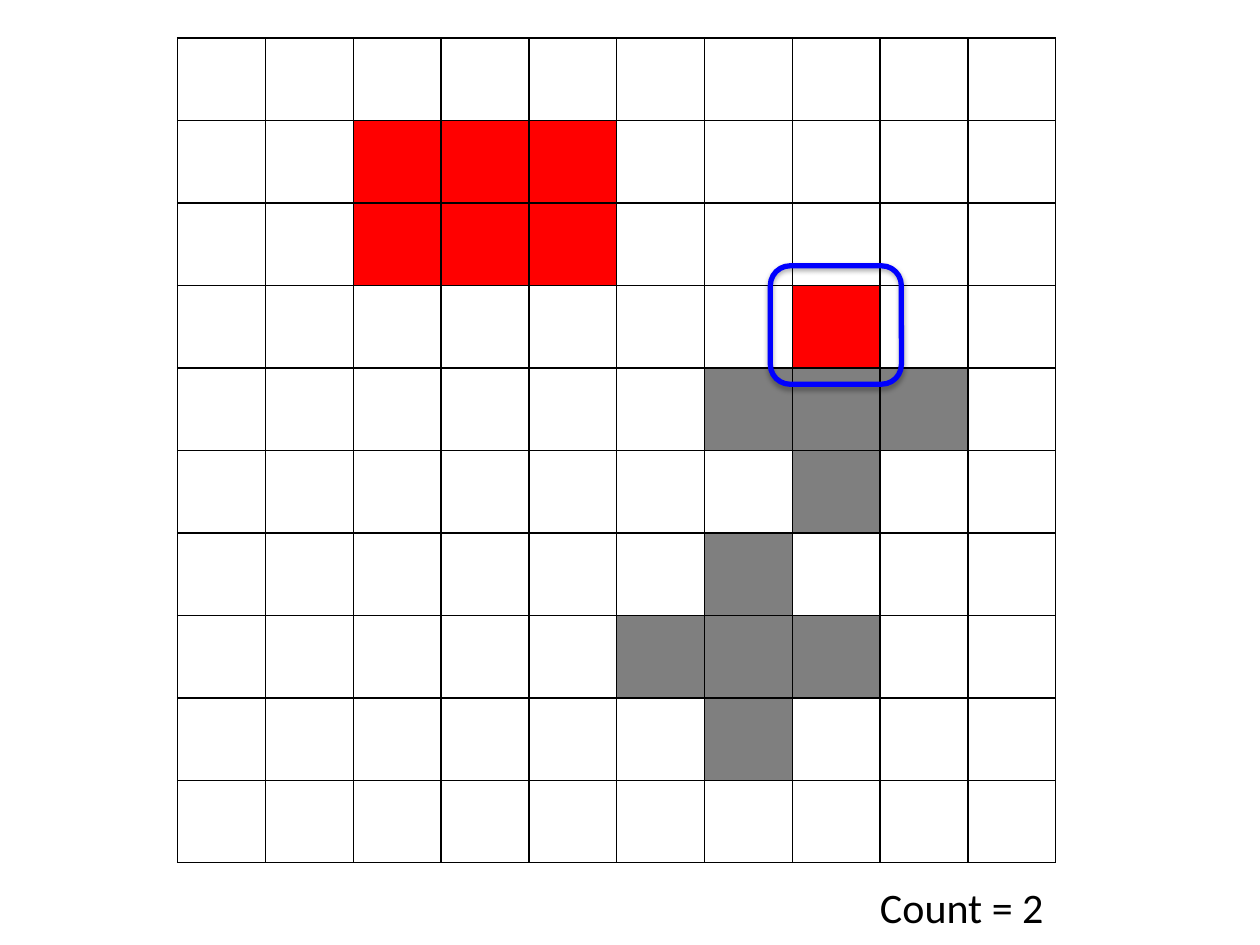
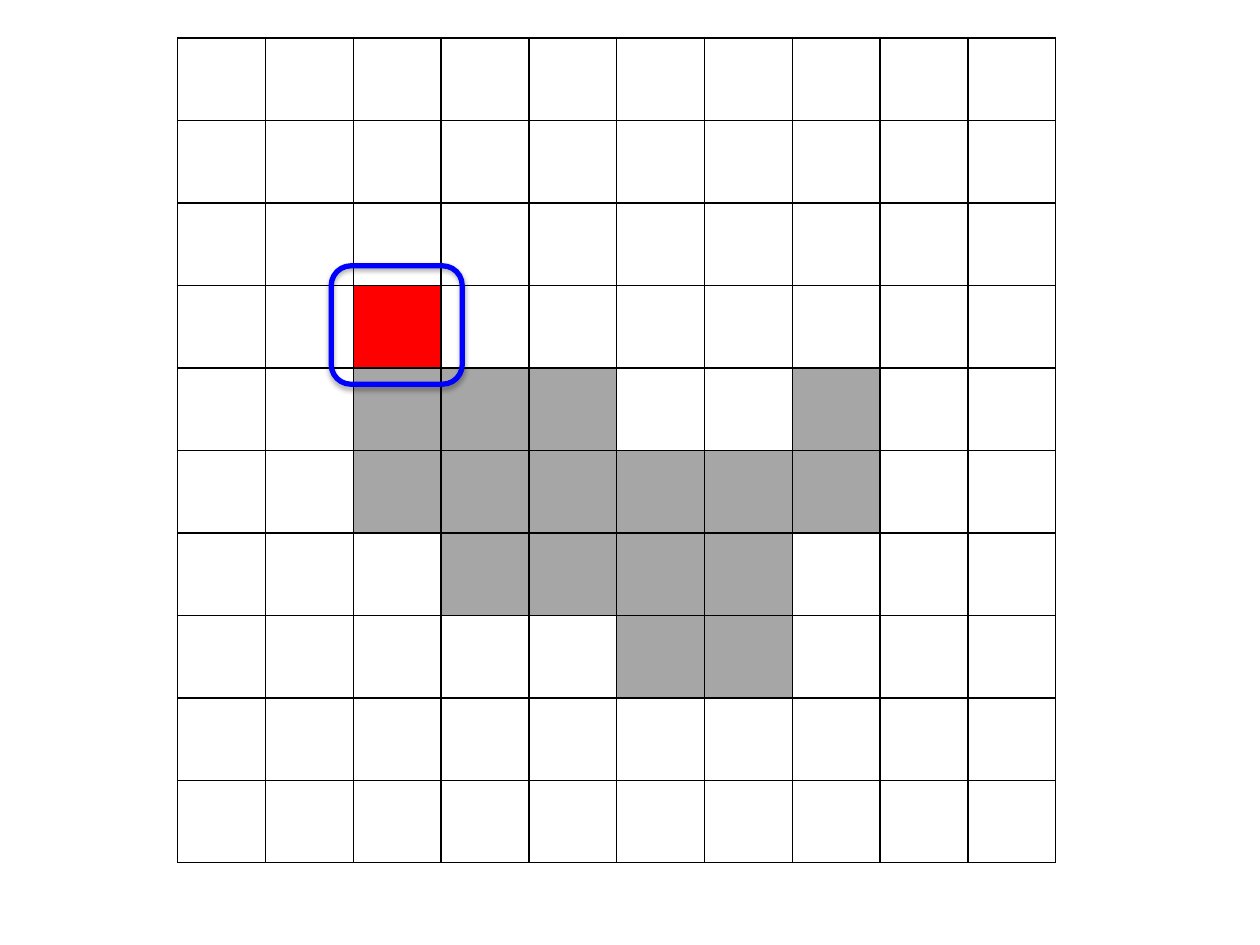
from lxml import etree
from pptx import Presentation
from pptx import util as u
from pptx.dml.color import RGBColor
from pptx.enum import shapes, text
from pptx.oxml import parse_xml
from pptx.oxml.ns import nsdecls, qn

EMU_PER_PX = 4572
BLACK, RED, BLUE, WHITE = "000000", "FF0000", "0000FF", "FFFFFF"
DARK_GREY, LIGHT_GREY = "7F7F7F", "A6A6A6"
FILLS = {"R": RED, "D": DARK_GREY, "L": LIGHT_GREY, "W": WHITE}

SEPARATE_REGIONS = """
..........
..RRR.....
..RRR.....
.......R..
......DDD.
.......D..
......D...
.....DDD..
......D...
..........
""".split()

JOINED_REGION = """
..........
..........
..........
..R...WWW.
..LLL.WLW.
..LLLLLLW.
...LLLLW..
.....LLW..
.....WWW..
..........
""".split()


def px(count):
    return u.Emu(round(count * EMU_PER_PX))


def color(value):
    return RGBColor.from_string(value)


class GridDeck:
    """Draws cell grids, rings and captions on the current page."""

    font = "Calibri"
    left, top, width, height = 282, 60, 1394, 1310

    def __init__(self):
        self.deck = Presentation()
        self.deck.slide_width, self.deck.slide_height = px(2000), px(1500)
        self.page = None

    def add_page(self):
        self.page = self.deck.slides.add_slide(self.deck.slide_layouts[6])

    def add_grid(self, pattern):
        rows, columns = len(pattern), len(pattern[0])
        frame = self.page.shapes.add_table(
            rows, columns, px(self.left), px(self.top), px(self.width), px(self.height))
        table = frame.table
        table.first_row = table.horz_banding = False
        for column in table.columns:
            column.width = px(self.width / columns)
        for row, marks in enumerate(pattern):
            table.rows[row].height = px(self.height / rows)
            for column, mark in enumerate(marks):
                cell = table.cell(row, column)
                self.add_borders(cell)
                if mark in FILLS:
                    cell.fill.solid()
                    cell.fill.fore_color.rgb = color(FILLS[mark])
                else:
                    cell.fill.background()

    def add_borders(self, cell):
        properties = cell._tc.get_or_add_tcPr()
        for side in ("lnL", "lnR", "lnT", "lnB"):
            properties.append(parse_xml(
                f'<a:{side} {nsdecls("a")} w="{u.Pt(1)}"><a:solidFill>'
                f'<a:srgbClr val="{BLACK}"/></a:solidFill></a:{side}>'))

    def add_ring(self, row, column):
        cell_left = self.left + column * self.width / 10
        cell_top = self.top + row * self.height / 10
        ring = self.page.shapes.add_shape(
            shapes.MSO_SHAPE.ROUNDED_RECTANGLE,
            px(cell_left - 35), px(cell_top - 31), px(208), px(188))
        ring.fill.background()
        ring.line.color.rgb = color(BLUE)
        ring.line.width = u.Pt(3)
        ring.shadow.inherit = False
        effects = ring._element.spPr.find(qn("a:effectLst"))
        shadow = etree.SubElement(
            effects, qn("a:outerShdw"), blurRad=str(u.Pt(3.1)), dist=str(u.Pt(1.8)),
            dir="5400000", rotWithShape="0")
        tint = etree.SubElement(shadow, qn("a:srgbClr"), val=BLACK)
        etree.SubElement(tint, qn("a:alpha"), val="35000")

    def add_caption(self, words):
        box = self.page.shapes.add_textbox(px(1260), px(1390), px(416), px(100))
        frame = box.text_frame
        frame.word_wrap = True
        frame.auto_size = text.MSO_AUTO_SIZE.SHAPE_TO_FIT_TEXT
        para = frame.paragraphs[0]
        para.alignment = text.PP_ALIGN.RIGHT
        span = para.add_run()
        span.text = words
        span.font.name = self.font
        span.font.size = u.Pt(24)
        span.font.color.rgb = color(BLACK)


def main():
    grids = GridDeck()

    grids.add_page()
    grids.add_grid(SEPARATE_REGIONS)
    grids.add_caption("Count = 2")
    grids.add_ring(row=3, column=7)

    grids.add_page()
    grids.add_grid(JOINED_REGION)
    grids.add_ring(row=3, column=2)

    grids.deck.save("out.pptx")


if __name__ == "__main__":
    main()
